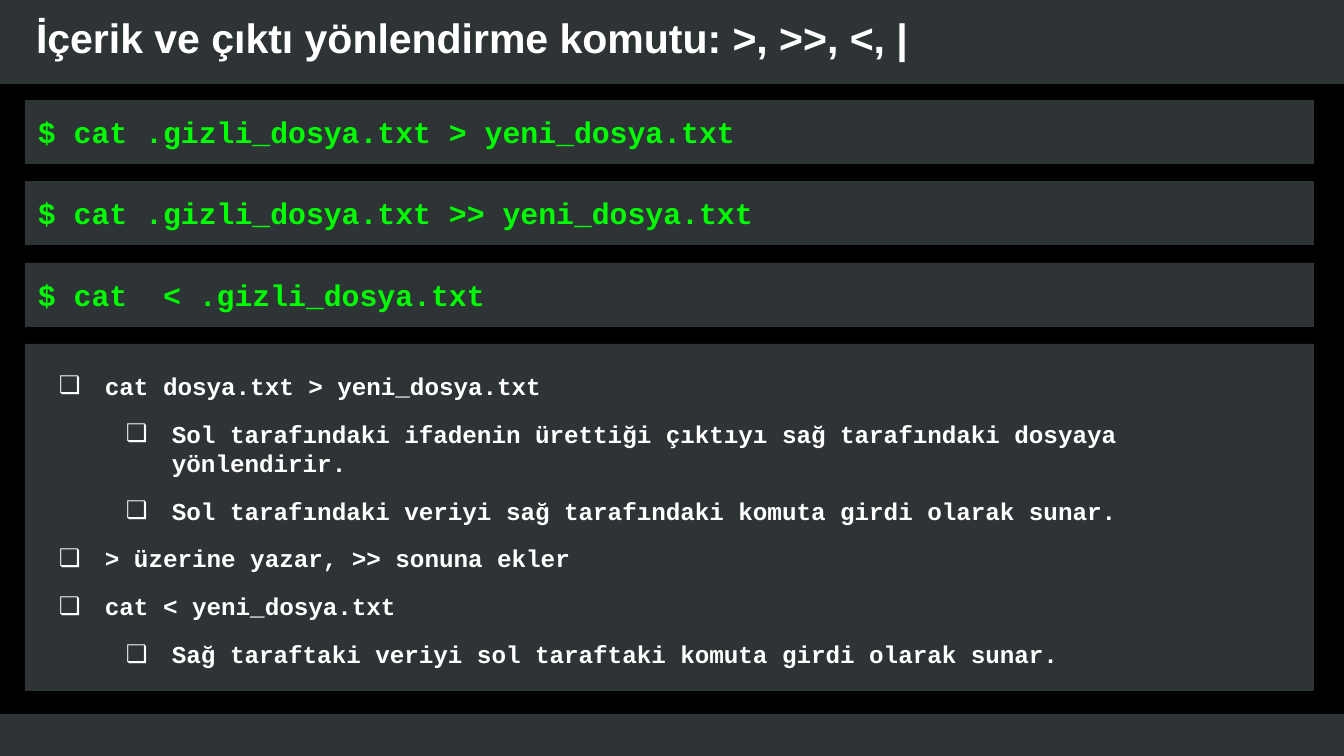
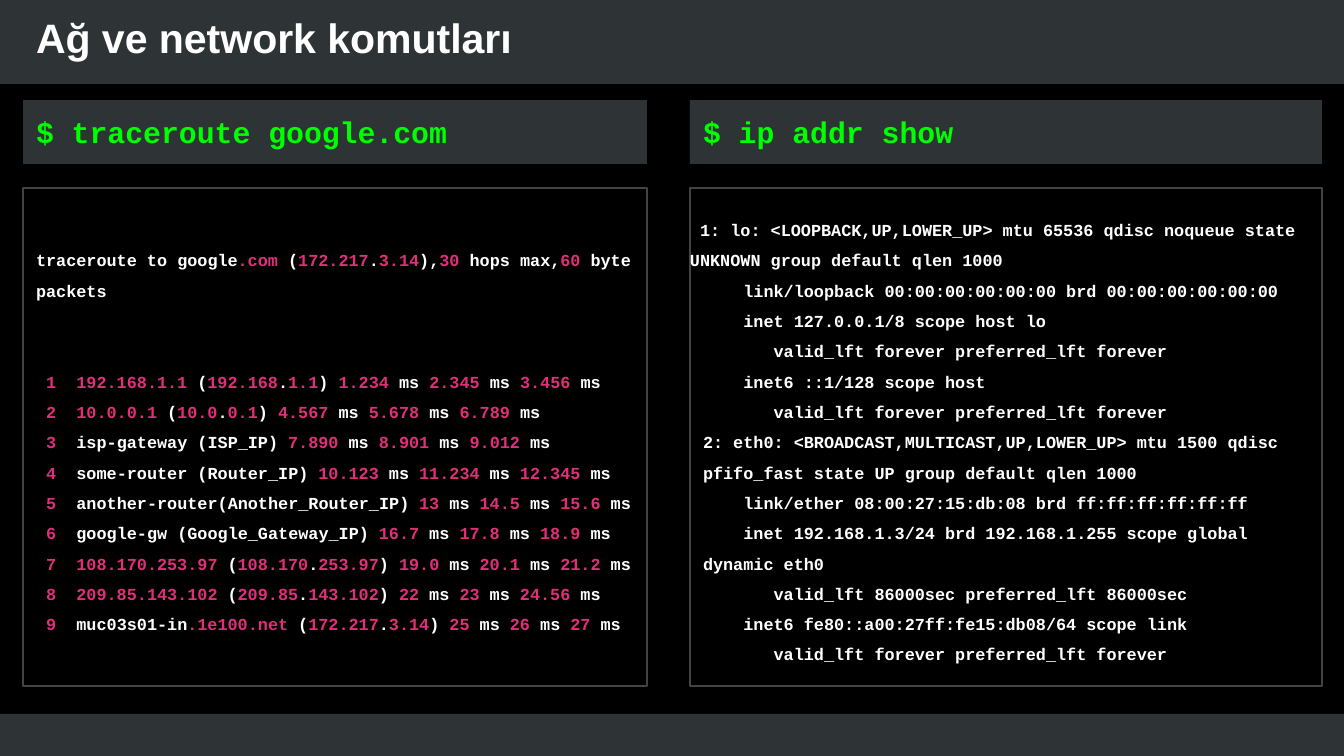
from lxml.etree import SubElement
from pptx import Presentation
from pptx.dml.color import RGBColor
from pptx.enum.shapes import MSO_SHAPE
from pptx.enum.text import MSO_ANCHOR, MSO_AUTO_SIZE, PP_ALIGN
from pptx.oxml.ns import qn
from pptx.util import Emu, Pt

BLACK, SLATE, GREY = "000000", "2E3436", "434343"
WHITE, GREEN, PINK = "FFFFFF", "00FF00", "DF3079"
TITLE = {"name": "Arial", "size": Pt(22), "bold": True}
COMMAND = {"name": "Courier New", "size": Pt(16), "bold": True}
LIST = {**COMMAND, "size": Pt(13)}
OUTPUT = {**COMMAND, "size": Pt(9)}
COMPARISON_LAYOUT = 4
PAD = 13
SWITCH = "~"

REDIRECTS = [
    "$ cat .gizli_dosya.txt > yeni_dosya.txt",
    "$ cat .gizli_dosya.txt >> yeni_dosya.txt",
    "$ cat  < .gizli_dosya.txt",
]
NOTES = [
    (0, "cat dosya.txt > yeni_dosya.txt"),
    (1, "Sol tarafındaki ifadenin ürettiği çıktıyı sağ tarafındaki dosyaya yönlendirir."),
    (1, "Sol tarafındaki veriyi sağ tarafındaki komuta girdi olarak sunar."),
    (0, "> üzerine yazar, >> sonuna ekler"),
    (0, "cat < yeni_dosya.txt"),
    (1, "Sağ taraftaki veriyi sol taraftaki komuta girdi olarak sunar."),
]
TRACE_HEAD = "traceroute to google~.com ~(~172.217~.~3.14~),~30~ hops max,~60~ byte packets"
HOPS = [
    ("1  192.168.1.1~ (~192.168~.~1.1~) ", "1.234 2.345 3.456"),
    ("2  10.0.0.1~ (~10.0~.~0.1~) ", "4.567 5.678 6.789"),
    ("3~  isp-gateway (ISP_IP) ", "7.890 8.901 9.012"),
    ("4~  some-router (Router_IP) ", "10.123 11.234 12.345"),
    ("5~  another-router(Another_Router_IP) ", "13 14.5 15.6"),
    ("6~  google-gw (Google_Gateway_IP) ", "16.7 17.8 18.9"),
    ("7  108.170.253.97~ (~108.170~.~253.97~) ", "19.0 20.1 21.2"),
    ("8  209.85.143.102~ (~209.85~.~143.102~) ", "22 23 24.56"),
    ("9~  muc03s01-in~.1e100.net~ (~172.217~.~3.14~) ", "25 26 27"),
]
LIFETIME = "       valid_lft forever preferred_lft forever"
ADDRESSES = [
    " 1: lo: <LOOPBACK,UP,LOWER_UP> mtu 65536 qdisc noqueue state UNKNOWN group default qlen 1000",
    "    link/loopback 00:00:00:00:00:00 brd 00:00:00:00:00:00",
    "    inet 127.0.0.1/8 scope host lo",
    LIFETIME,
    "    inet6 ::1/128 scope host",
    LIFETIME,
    "2: eth0: <BROADCAST,MULTICAST,UP,LOWER_UP> mtu 1500 qdisc pfifo_fast state UP group default qlen 1000",
    "    link/ether 08:00:27:15:db:08 brd ff:ff:ff:ff:ff:ff",
    "    inet 192.168.1.3/24 brd 192.168.1.255 scope global dynamic eth0",
    "       valid_lft 86000sec preferred_lft 86000sec",
    "    inet6 fe80::a00:27ff:fe15:db08/64 scope link",
    LIFETIME,
]


def px(n):
    return Emu(round(n * 914400 / 134.4))


def rgb(value):
    return RGBColor.from_string(value)


def assign(target, values):
    for name, value in values.items():
        setattr(target, name, value)


class Deck:
    def __init__(self):
        self.prs = Presentation()
        assign(self.prs, {"slide_width": px(1344), "slide_height": px(756)})
        self.paint(self.prs.slide_master.background, BLACK)

    def paint(self, item, color):
        item.fill.solid()
        item.fill.fore_color.rgb = rgb(color)

    def place(self, sp, box):
        assign(sp, dict(zip(("left", "top", "width", "height"), map(px, box))))

    def slide(self, title):
        self.s = self.prs.slides.add_slide(self.prs.slide_layouts[COMPARISON_LAYOUT])
        self.bodies = iter([sp for sp in self.s.placeholders if sp.placeholder_format.idx])
        self.band(-4, 714, 1355, 50)
        self.band(-4, -11, 1352, 95)
        tf = self.frame(self.s.shapes.title, (23, 0, 1153, 75), (PAD,) * 4)
        self.fill_text(tf.paragraphs[0], title, TITLE, WHITE)

    def band(self, *box):
        sp = self.s.shapes.add_shape(MSO_SHAPE.RECTANGLE, *map(px, box))
        self.paint(sp, SLATE)
        sp.line.fill.background()
        sp.shadow.inherit = False
        self.s.shapes._spTree.insert(2, sp._element)

    def frame(self, sp, box, insets=(0, 0, 0, 0), anchor=MSO_ANCHOR.MIDDLE):
        self.place(sp, box)
        tf = sp.text_frame
        assign(tf, {"word_wrap": True, "auto_size": MSO_AUTO_SIZE.NONE, "vertical_anchor": anchor})
        sides = ("margin_left", "margin_top", "margin_right", "margin_bottom")
        assign(tf, dict(zip(sides, map(px, insets))))
        return tf

    def fill_text(self, p, text, font, color, indent=0, hang=0, bullet=None, **spacing):
        pPr = p._p.get_or_add_pPr()
        pPr.set("marL", str(px(indent)))
        pPr.set("indent", str(px(hang)))
        if bullet:
            SubElement(SubElement(pPr, qn("a:buClr")), qn("a:srgbClr")).set("val", WHITE)
            SubElement(pPr, qn("a:buChar")).set("char", bullet)
        else:
            SubElement(pPr, qn("a:buNone"))
        assign(p, {"alignment": PP_ALIGN.LEFT, "space_before": Pt(0), **spacing})
        for i, part in enumerate(text.split(SWITCH)):
            r = p.add_run()
            r.text = part
            assign(r.font, font)
            r.font.color.rgb = rgb(PINK if i % 2 else color)

    def paragraphs(self, tf, items):
        for i, item in enumerate(items):
            yield i, tf.add_paragraph() if i else tf.paragraphs[0], item

    def command(self, text, *box):
        sp = next(self.bodies)
        self.paint(sp, SLATE)
        self.fill_text(self.frame(sp, box).paragraphs[0], text, COMMAND, GREEN, PAD)

    def bullets(self, items, *box):
        sp = next(self.bodies)
        self.paint(sp, SLATE)
        tf = self.frame(sp, box, (PAD, 27, PAD, PAD), MSO_ANCHOR.TOP)
        for i, p, (level, text) in self.paragraphs(tf, items):
            p.level = level
            self.fill_text(p, text, LIST, WHITE, 67 * (level + 1), -46, "❏",
                           space_before=Pt(10 if i else 0))

    def output(self, lines, *box, first_indent=PAD, first_gap=0):
        sp = next(self.bodies)
        sp.fill.background()
        sp.line.color.rgb = rgb(GREY)
        sp.line.width = Pt(0.75)
        for i, p, text in self.paragraphs(self.frame(sp, box), lines):
            self.fill_text(p, text, OUTPUT, WHITE, PAD if i else first_indent,
                           line_spacing=1.5, space_before=Pt(first_gap if i == 1 else 0))


def main():
    deck = Deck()
    deck.slide("İçerik ve çıktı yönlendirme komutu: >, >>, <, |")
    for i, text in enumerate(REDIRECTS):
        deck.command(text, 25, 100 + 163 * i // 2, 1289, 64)
    deck.bullets(NOTES, 25, 344, 1289, 347)

    deck.slide("Ağ ve network komutları")
    hops = [f" ~{host}~" + "~ ms ~".join(times.split()) + "~ ms" for host, times in HOPS]
    columns = [
        (23, 624, "$ traceroute google.com", [TRACE_HEAD, *hops], {"first_gap": 32.5}),
        (690, 632, "$ ip addr show", ADDRESSES, {"first_indent": 0}),
    ]
    for left, width, command, lines, options in columns:
        deck.command(command, left, 100, width, 64)
        deck.output(lines, left, 188, width, 498, **options)
    deck.prs.save("out.pptx")


if __name__ == "__main__":
    main()
